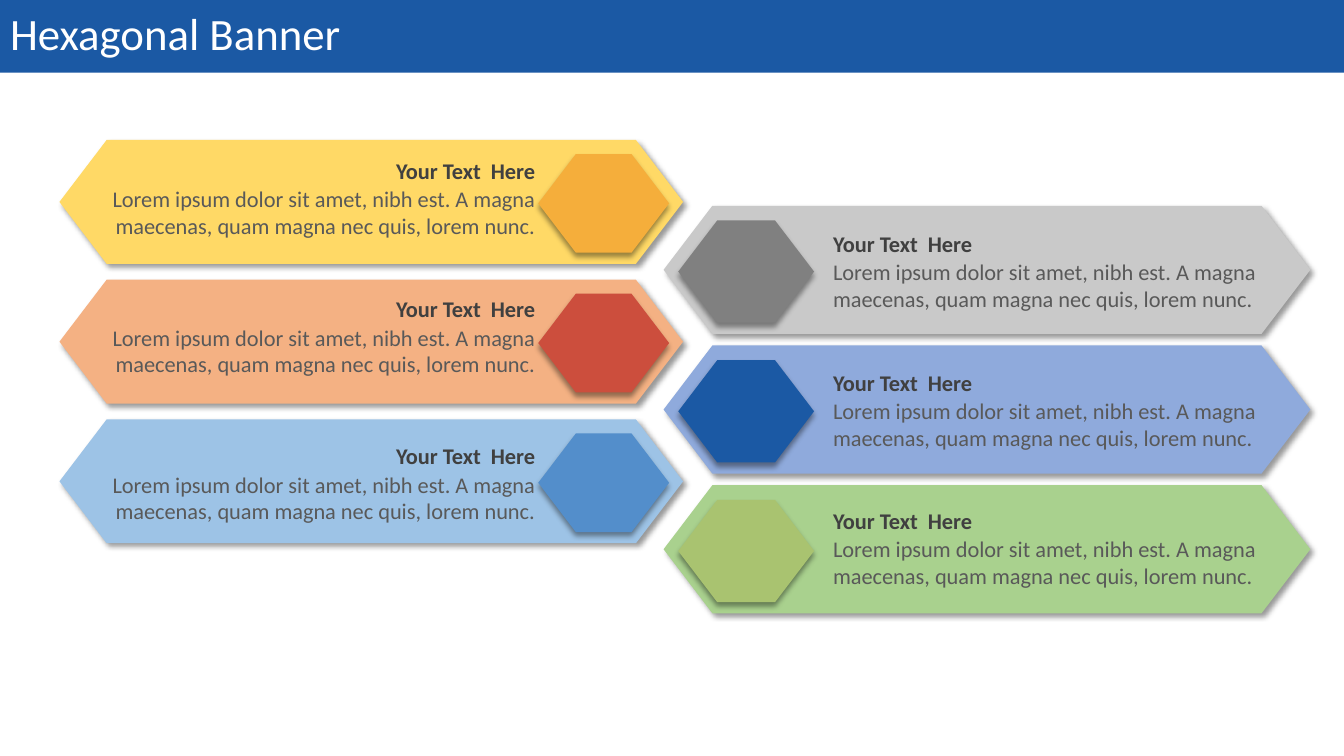
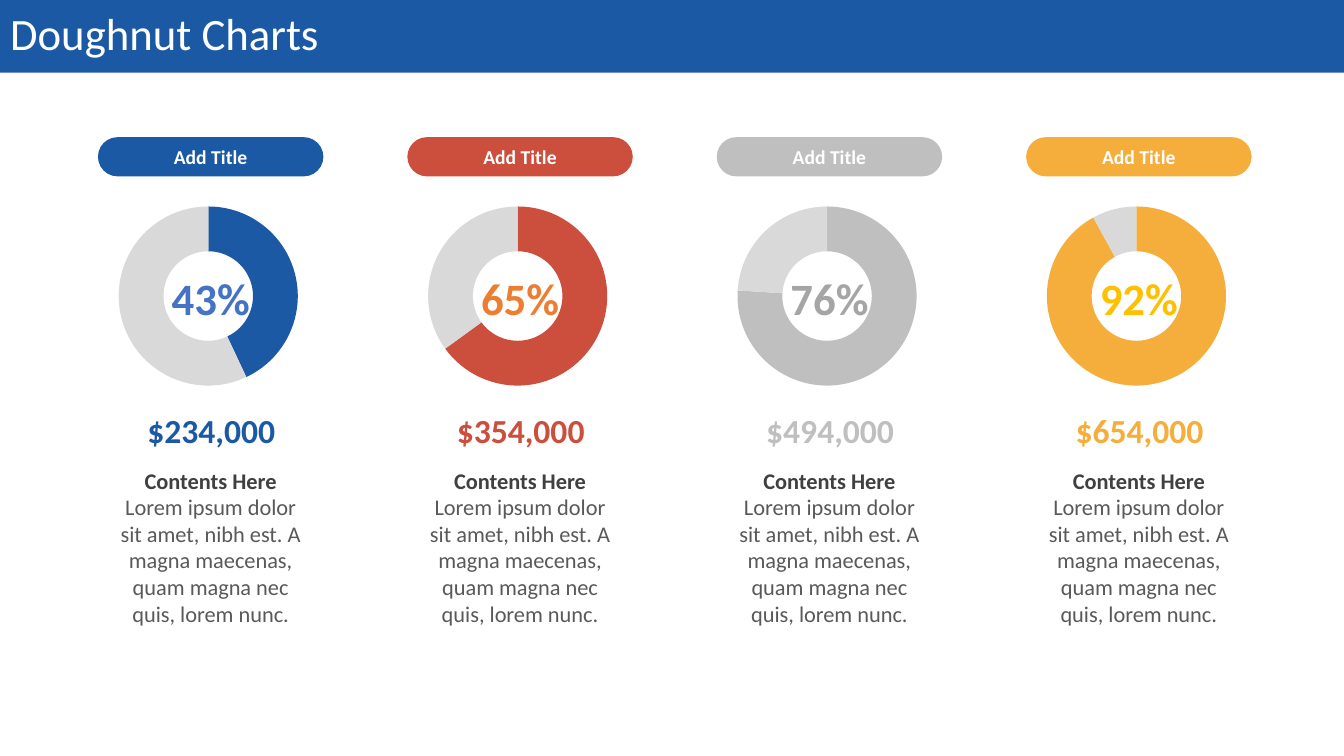
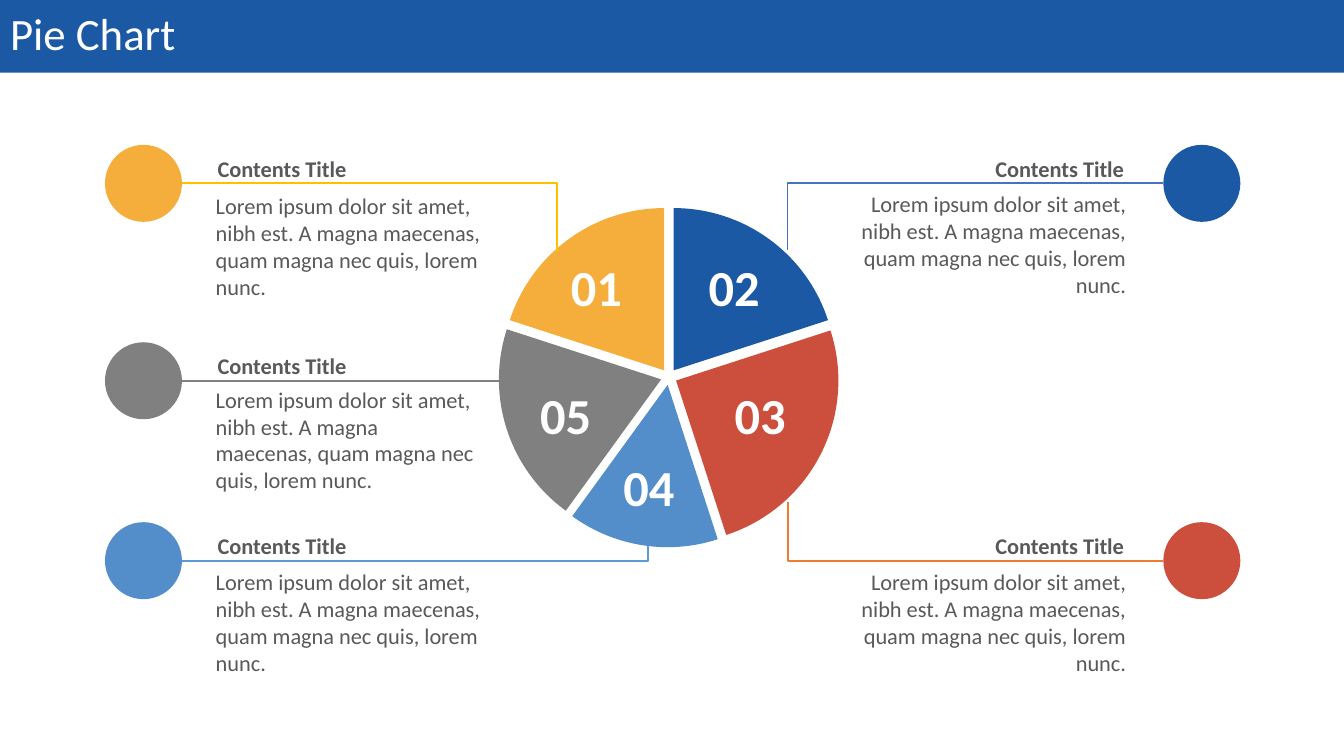
import pptx
import pptx.util
import pptx.chart.data
import pptx.dml.color
import pptx.enum.chart
import pptx.enum.shapes
import pptx.enum.text
import pptx.oxml
import pptx.oxml.ns

Pt = pptx.util.Pt
qn = pptx.oxml.ns.qn
Align = pptx.enum.text.PP_ALIGN
Anchor = pptx.enum.text.MSO_ANCHOR
Shape = pptx.enum.shapes.MSO_SHAPE
Link = pptx.enum.shapes.MSO_CONNECTOR
Kind = pptx.enum.chart.XL_CHART_TYPE

FONT = "Calibri"
BLUE, RED, GOLD, SKY = "1B59A4", "CC4E3D", "F5AE3B", "538ECB"
GREY, SILVER, PALE = "808080", "BFBFBF", "D9D9D9"
WHITE, DARK, SOFT = "FFFFFF", "404040", "595959"
LOREM = ("Lorem ipsum dolor sit amet, nibh est. A magna maecenas, "
         "quam magna nec quis, lorem nunc.")
DRAWING = 'xmlns:a="http://schemas.openxmlformats.org/drawingml/2006/main"'
CHART = 'xmlns:c="http://schemas.openxmlformats.org/drawingml/2006/chart"'


def paint(fill, hue):
    fill.solid()
    fill.fore_color.rgb = pptx.dml.color.RGBColor.from_string(hue)


def write(text, page=None, box=None, shape=None, size=16, hue=SOFT, bold=False,
          align=Align.LEFT, anchor=Anchor.TOP, inset=7.2, space=None):
    """Put text in a given shape, or in a new text box on the page."""
    shape = shape or page.shapes.add_textbox(*map(Pt, box))
    frame = shape.text_frame
    frame.word_wrap = True
    frame.auto_size = pptx.enum.text.MSO_AUTO_SIZE.NONE
    frame.vertical_anchor = anchor
    frame.margin_left = frame.margin_right = Pt(inset)
    line = frame.paragraphs[0]
    line.alignment = align
    line.line_spacing = space
    run = line.add_run()
    run.text = text
    run.font.name, run.font.size, run.font.bold = FONT, Pt(size), bold
    paint(run.font.fill, hue)


deck = pptx.Presentation()
deck.slide_width, deck.slide_height = Pt(960), Pt(540)

# Slides with their title bands
pages = []
for name in ("Hexagonal Banner", "Doughnut Charts", "Pie Chart"):
    page = deck.slides.add_slide(deck.slide_layouts[5])
    band = page.shapes.title
    band.left, band.top, band.width, band.height = map(Pt, (0, 0, 960, 52))
    paint(band.fill, BLUE)
    write(name, shape=band, size=32, hue=WHITE, anchor=Anchor.MIDDLE, space=0.9)
    pages.append(page)
first, second, third = pages

# Banners: outer box, inner box, text left, text tops, alignment, hues
sides = [
    ((474, 147, 462, 91.5), (484.5, 157.5, 97, 73), 588, (160.5, 260, 358.5),
     Align.LEFT, (("C9C9C9", GREY), ("8FAADC", BLUE), ("A9D18E", "A9C370"))),
    ((42.5, 100, 445.5, 88.5), (384.5, 110, 93.5, 70.5), 67.5, (108.5, 207.5, 312.5),
     Align.RIGHT, (("FFD966", GOLD), ("F4B183", RED), ("9DC3E6", SKY))),
]
for outer, inner, left, tops, align, hues in sides:
    for row, (top, pair) in enumerate(zip(tops, hues)):
        for (x, y, wide, high), hue, angle in zip((outer, inner), pair, (45, 90)):
            hexa = first.shapes.add_shape(
                Shape.HEXAGON, Pt(x), Pt(y + row * 99.8), Pt(wide), Pt(high))
            hexa.adjustments[0] = 0.381
            paint(hexa.fill, hue)
            hexa.line.fill.background()
            hexa._element.spPr.append(pptx.oxml.parse_xml(
                f'<a:effectLst {DRAWING}><a:outerShdw blurRad="{Pt(4)}" '
                f'dist="{Pt(3)}" dir="{angle * 60000}" algn="ctr" rotWithShape="0">'
                '<a:srgbClr val="000000"><a:alpha val="40000"/></a:srgbClr>'
                '</a:outerShdw></a:effectLst>'))
        write("Your Text  Here", first, (left, top, 322, 26.5), hue=DARK,
              bold=True, align=align)
        write(LOREM, first, (left, top + 20.2, 322, 46), align=align)

# Doughnut columns: value, ring hue, value hue, amount
STEP = 221
rings = [(43, BLUE, "4472C4", "$234,000"), (65, RED, "ED7D31", "$354,000"),
         (76, SILVER, "A5A5A5", "$494,000"), (92, GOLD, "FFC000", "$654,000")]

# Charts of both slides: page, kind, box, plot area, values, hues
plots = [(second, Kind.DOUGHNUT, (80 + i * STEP, 145, 141, 132.5),
          (0.026, 0.019, 0.924, 0.966), (part, 100 - part), (hue, PALE))
         for i, (part, hue, _, _) in enumerate(rings)]
plots.append((third, Kind.PIE, (352, 146, 255.5, 248.5),
              (0.016, 0.006, 0.953, 0.98), (20, 25, 15, 20, 20),
              (BLUE, RED, SKY, GREY, GOLD)))
for page, kind, box, area, vals, hues in plots:
    data = pptx.chart.data.CategoryChartData()
    data.categories = [str(n + 1) for n in range(len(vals))]
    data.add_series("Series 1", vals)
    chart = page.shapes.add_chart(kind, *map(Pt, box), data).chart
    chart.has_title = chart.has_legend = False
    chart.font.name, chart.font.size = FONT, Pt(18)
    paint(chart.font.fill, "000000")
    plot = chart.plots[0]
    plot.vary_by_categories = True
    series = plot.series[0]
    for n, hue in enumerate(hues):
        look = series.points[n].format
        paint(look.fill, hue)
        look.line.fill.background()
    # Plot area position
    root = chart._chartSpace.find(".//" + qn("c:plotArea"))
    for old in root.findall(qn("c:layout")):
        root.remove(old)
    sizes = "".join(f'<c:{tag} val="{val}"/>' for tag, val in zip("xywh", area))
    root.insert(0, pptx.oxml.parse_xml(
        f'<c:layout {CHART}><c:manualLayout><c:layoutTarget val="inner"/>'
        f'<c:xMode val="edge"/><c:yMode val="edge"/>{sizes}'
        '</c:manualLayout></c:layout>'))
    # Hole of a ring, gaps of a pie
    if kind == Kind.DOUGHNUT:
        root.find(".//" + qn("c:holeSize")).set("val", "80")
    else:
        series._element.find(qn("c:dPt")).addprevious(
            pptx.oxml.parse_xml(f'<c:explosion {CHART} val="5"/>'))

# Doughnut labels
for i, (part, hue, tint, sum_) in enumerate(rings):
    x = i * STEP
    pill = second.shapes.add_shape(
        Shape.ROUNDED_RECTANGLE, Pt(70 + x), Pt(98), Pt(161), Pt(28))
    pill.adjustments[0] = 0.5
    pill.shadow.inherit = False
    paint(pill.fill, hue)
    pill.line.fill.background()
    write("Add Title", shape=pill, size=14, hue=WHITE, bold=True,
          align=Align.CENTER, anchor=Anchor.MIDDLE)
    write(f"{part}%", second, (103 + x, 189.5, 95, 46), size=32, hue=tint,
          bold=True, align=Align.CENTER, anchor=Anchor.MIDDLE)
    write(sum_, second, (89 + x, 289, 124, 36), size=24, hue=hue, bold=True,
          align=Align.CENTER)
    write("Contents Here", second, (74 + x, 330, 153, 26.5), hue=DARK,
          bold=True, align=Align.CENTER)
    write(LOREM, second, (74 + x, 348.5, 153, 104), align=Align.CENTER)

# Pie callouts: on the right, line height, body top, text width, hues, line start
DOT = 55
notes = [
    (False, 131, 134, 216, GOLD, "FFC000", (398, 179)),
    (False, 272, 272, 200, GREY, GREY, (363, 272)),
    (False, 400.5, 402.5, 216, SKY, "5B9BD5", (463, 389.5)),
    (True, 131, 132.5, 214, BLUE, "4472C4", (562.5, 178.5)),
    (True, 400.5, 402.5, 214, RED, "ED7D31", (563, 358.5)),
]
for right, mid, low, wide, hue, tint, (x, y) in notes:
    if right:
        spot, end, left, align = 831, 831, 597.5, Align.RIGHT
    else:
        spot, end, left, align = 75, 75 + DOT, 147, Align.LEFT
    bent = y != mid
    line = third.shapes.add_connector(
        Link.ELBOW if bent else Link.STRAIGHT, Pt(x), Pt(y), Pt(end), Pt(mid))
    line.line.width = Pt(1.25)
    paint(line.line.fill, tint)
    shape = line._element.spPr
    shape.append(pptx.oxml.parse_xml(f'<a:effectLst {DRAWING}/>'))
    if bent:
        geom = shape.find(qn("a:prstGeom"))
        for old in list(geom):
            geom.remove(old)
        geom.append(pptx.oxml.parse_xml(
            f'<a:avLst {DRAWING}><a:gd name="adj1" fmla="val 0"/></a:avLst>'))
    dot = third.shapes.add_shape(
        Shape.OVAL, Pt(spot), Pt(mid - DOT / 2), Pt(DOT), Pt(DOT))
    dot.shadow.inherit = False
    paint(dot.fill, hue)
    dot.line.fill.background()
    write("Contents Title", third, (left, mid - 24, wide, 26.5), bold=True,
          align=align, inset=8.5)
    write(LOREM, third, (left, low, wide, 85), align=align)

# Slice numbers
spots = [(426, 179.5), (524.5, 179.5), (543, 270.5), (463.5, 322.5), (404, 270.5)]
for n, (x, y) in enumerate(spots, 1):
    write(f"{n:02}", third, (x - 29, y, 58, 51), size=36, hue=WHITE, bold=True,
          align=Align.CENTER)

deck.save("out.pptx")
